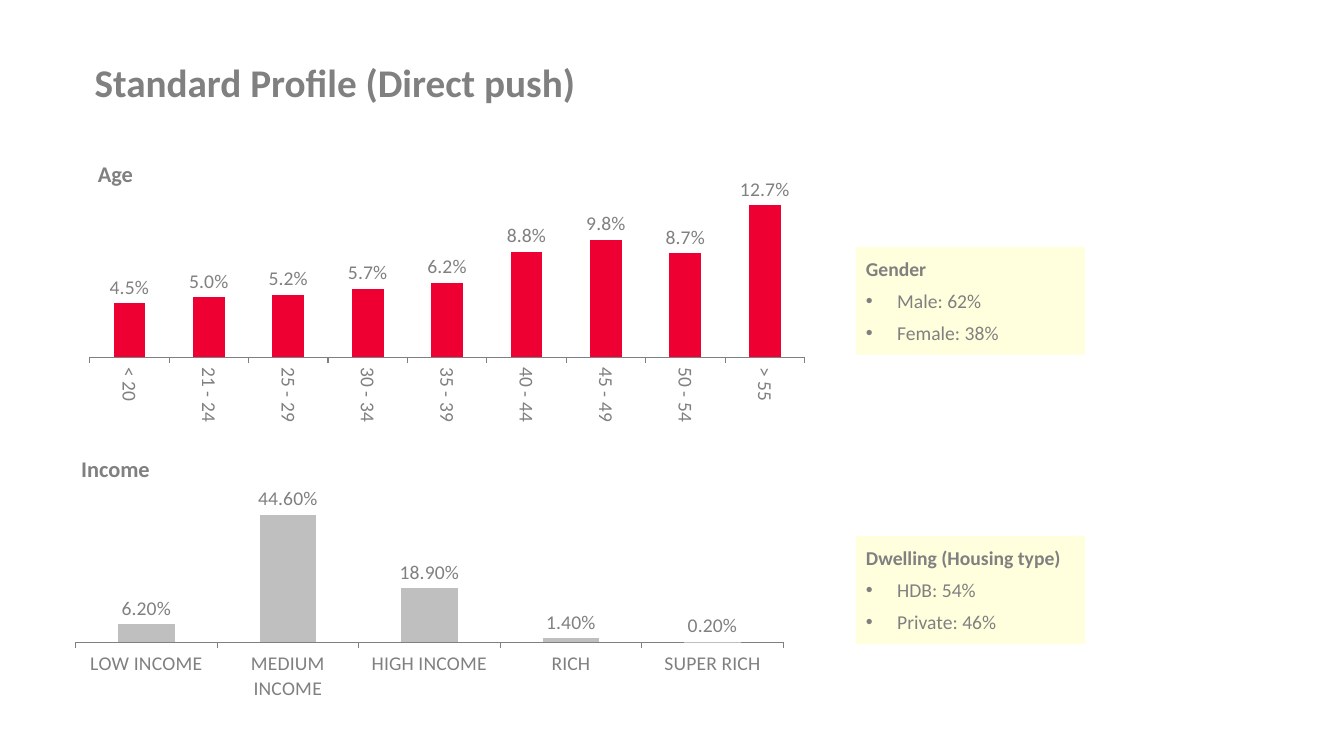
from dataclasses import dataclass

from lxml.etree import SubElement
from pptx import Presentation
from pptx.chart.data import CategoryChartData
from pptx.dml.color import RGBColor
from pptx.enum.chart import XL_CHART_TYPE, XL_LABEL_POSITION, XL_TICK_MARK
from pptx.enum.shapes import MSO_SHAPE
from pptx.enum.text import MSO_ANCHOR, PP_ALIGN
from pptx.oxml import parse_xml
from pptx.oxml.ns import nsdecls, qn
from pptx.slide import Slide
from pptx.text.text import _Paragraph
from pptx.util import Inches, Pt

GREY = RGBColor(0x80, 0x80, 0x80)
RED = RGBColor(0xEE, 0x00, 0x33)
SILVER = RGBColor(0xBF, 0xBF, 0xBF)
CREAM = RGBColor(0xFF, 0xFF, 0xDD)
FONT = "Calibri"

Box = tuple[float, float, float, float]  # left, top, width, height in inches


@dataclass
class Profile:
    heading: str
    heading_top: float
    frame: Box
    plot: Box
    values: dict[str, float]
    number_format: str
    axis_max: float
    color: RGBColor
    label_turn: int = 0  # degrees


@dataclass
class Split:
    heading: str
    top: float
    shares: list[str]


PROFILES = [
    Profile("Age", 1.59, (0.74, 1.76, 7.39, 2.46), (0.89, 1.86, 7.09, 1.68),
            {"< 20": 0.045, "21 - 24": 0.05, "25 - 29": 0.052,
             "30 - 34": 0.057, "35 - 39": 0.062, "40 - 44": 0.088,
             "45 - 49": 0.098, "50 - 54": 0.087, "> 55": 0.127},
            "0.0%", 0.14, RED, label_turn=90),
    Profile("Income", 4.52, (0.61, 4.83, 7.3, 2.14), (0.75, 4.95, 7.02, 1.42),
            {"LOW INCOME": 0.062, "MEDIUM INCOME": 0.446,
             "HIGH INCOME": 0.189, "RICH": 0.014, "SUPER RICH": 0.002},
            "0.00%", 0.5, SILVER),
]
SPLITS = [
    Split("Gender", 2.45, ["Male: 62%", "Female: 38%"]),
    Split("Dwelling (Housing type)", 5.32, ["HDB: 54%", "Private: 46%"]),
]


def add_run(paragraph: _Paragraph, text: str, size: int, bold: bool) -> None:
    run = paragraph.add_run()
    run.text = text
    run.font.name = FONT
    run.font.size = Pt(size)
    run.font.bold = bold
    run.font.color.rgb = GREY


def add_heading(slide: Slide, text: str, box: Box, size: int,
                inset: float, align: PP_ALIGN) -> None:
    frame = slide.shapes.add_textbox(*map(Inches, box)).text_frame
    frame.word_wrap = True
    frame.margin_left = frame.margin_right = Inches(inset)
    frame.margin_top = frame.margin_bottom = Inches(inset / 2)
    frame.paragraphs[0].alignment = align
    add_run(frame.paragraphs[0], text, size, bold=True)


def add_profile(slide: Slide, profile: Profile) -> None:
    data = CategoryChartData(number_format=profile.number_format)
    data.categories = list(profile.values)
    data.add_series("Series 1", list(profile.values.values()))
    chart = slide.shapes.add_chart(
        XL_CHART_TYPE.COLUMN_CLUSTERED, *map(Inches, profile.frame), data).chart
    chart.has_legend = chart.has_title = False
    chart.font.name = FONT
    chart.font.size = Pt(14)
    chart.font.color.rgb = GREY

    # Columns and their labels
    columns = chart.plots[0]
    columns.gap_width = 150
    columns.vary_by_categories = False
    fill = columns.series[0].format.fill
    fill.solid()
    fill.fore_color.rgb = profile.color
    columns.has_data_labels = True
    labels = columns.data_labels
    labels.show_value = True
    labels.number_format = profile.number_format
    labels.number_format_is_linked = False
    labels.position = XL_LABEL_POSITION.OUTSIDE_END

    # Axes
    scale = chart.value_axis
    scale.minimum_scale, scale.maximum_scale = 0, profile.axis_max
    scale.has_major_gridlines = False
    scale.visible = False
    groups = chart.category_axis
    groups.major_tick_mark = XL_TICK_MARK.OUTSIDE
    groups.format.line.color.rgb = GREY
    groups.format.line.width = Pt(0.75)
    groups.tick_labels.font.size = Pt(14)
    if profile.label_turn:
        body = chart.element.xpath(".//c:catAx/c:txPr/a:bodyPr")[0]
        body.set("rot", str(profile.label_turn * 60000))
        body.set("vert", "horz")

    # Plot area as fractions of the chart frame
    left, top, width, height = profile.frame
    x, y, w, h = profile.plot
    fractions = {"x": (x - left) / width, "y": (y - top) / height,
                 "w": w / width, "h": h / height}
    plot_area = chart.element.xpath(".//c:plotArea")[0]
    for automatic in plot_area.findall(qn("c:layout")):
        plot_area.remove(automatic)
    layout = parse_xml(f"<c:layout {nsdecls('c')}><c:manualLayout>"
                       '<c:layoutTarget val="inner"/><c:xMode val="edge"/>'
                       '<c:yMode val="edge"/></c:manualLayout></c:layout>')
    for key, fraction in fractions.items():
        SubElement(layout[0], qn(f"c:{key}")).set("val", f"{fraction:.4f}")
    plot_area.insert(0, layout)

    add_heading(slide, profile.heading, (0.46, profile.heading_top, 1.37, 0.27),
                16, 0, PP_ALIGN.CENTER)


def add_split(slide: Slide, split: Split) -> None:
    panel = slide.shapes.add_shape(
        MSO_SHAPE.RECTANGLE, *map(Inches, (8.49, split.top, 2.27, 1.07)))
    panel.shadow.inherit = False
    panel.fill.solid()
    panel.fill.fore_color.rgb = CREAM
    panel.line.fill.background()
    frame = panel.text_frame
    frame.word_wrap = True
    frame.vertical_anchor = MSO_ANCHOR.TOP
    frame.margin_left = frame.margin_right = Inches(0.1)
    frame.margin_top = frame.margin_bottom = Inches(0.1)
    for index, text in enumerate([split.heading, *split.shares]):
        is_share = index > 0
        paragraph = frame.add_paragraph() if is_share else frame.paragraphs[0]
        paragraph.alignment = PP_ALIGN.LEFT
        paragraph.space_after = Pt(6)
        add_run(paragraph, text, 14, bold=not is_share)
        if is_share:
            properties = paragraph._p.get_or_add_pPr()
            properties.set("marL", str(Inches(0.31)))
            properties.set("indent", str(-Inches(0.31)))
            SubElement(properties, qn("a:buFont")).set("typeface", "Arial")
            SubElement(properties, qn("a:buChar")).set("char", "•")


def main() -> None:
    presentation = Presentation()
    presentation.slide_width = Inches(13.33)
    presentation.slide_height = Inches(7.5)
    slide = presentation.slides.add_slide(presentation.slide_layouts[6])

    add_heading(slide, "Standard Profile (Direct push)",
                (0.84, 0.53, 11.11, 0.57), 28, 0.1, PP_ALIGN.LEFT)
    for profile in PROFILES:
        add_profile(slide, profile)
    for split in SPLITS:
        add_split(slide, split)

    presentation.save("out.pptx")


if __name__ == "__main__":
    main()
